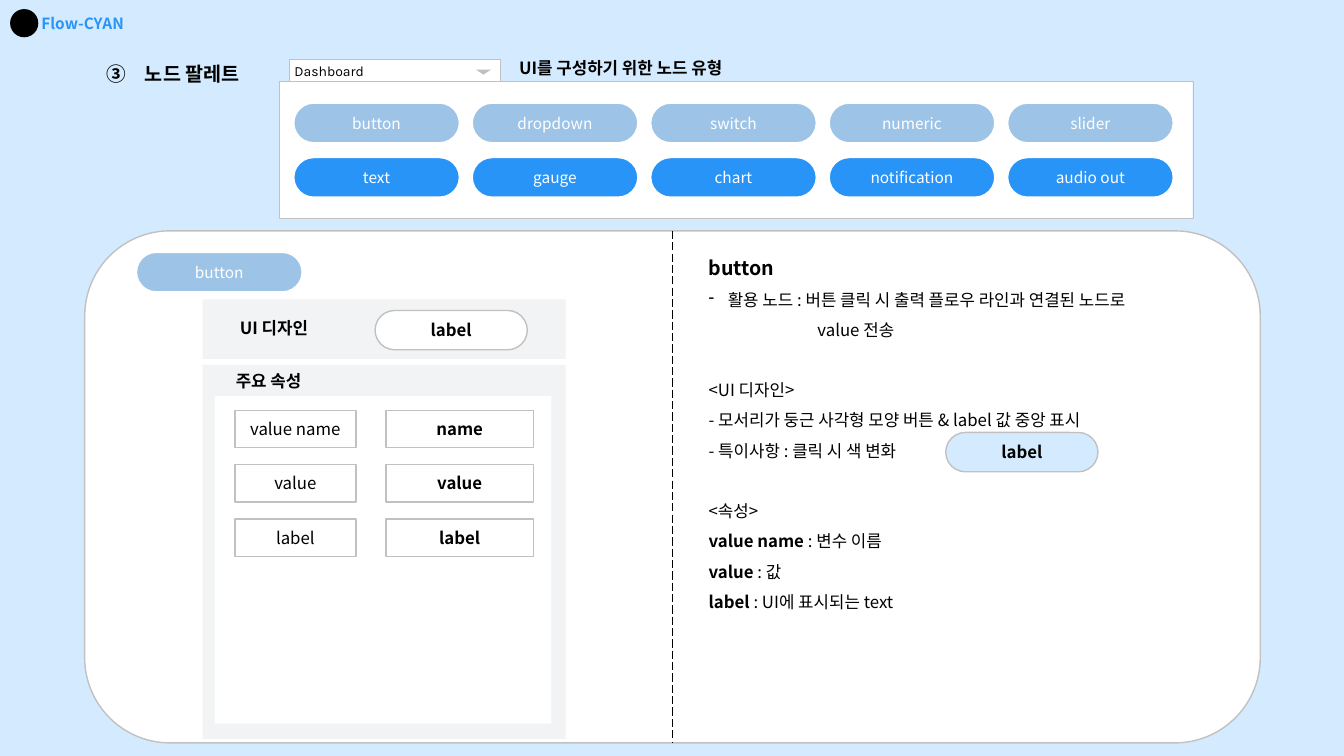
from lxml import etree
from pptx import Presentation
from pptx.dml.color import RGBColor
from pptx.enum.dml import MSO_LINE
from pptx.enum.shapes import MSO_CONNECTOR, MSO_SHAPE as Kind
from pptx.enum.text import MSO_ANCHOR as Anchor, PP_ALIGN as Align
from pptx.oxml.ns import qn
from pptx.util import Inches, Pt

FONT = "Noto Sans CJK KR"
BLACK = RGBColor(0x00, 0x00, 0x00)
WHITE = RGBColor(0xFF, 0xFF, 0xFF)
BLUE = RGBColor(0x29, 0x94, 0xF8)
SOFT = RGBColor(0x9D, 0xC3, 0xE6)
PALE = RGBColor(0xD4, 0xEA, 0xFE)
GRAY = RGBColor(0xC1, 0xC1, 0xC1)
ARROW = RGBColor(0xBF, 0xBF, 0xBF)
PANEL = RGBColor(0xF1, 0xF3, 0xF4)

PALETTE = [
    (SOFT, ["button", "dropdown", "switch", "numeric", "slider"]),
    (BLUE, ["text", "gauge", "chart", "notification", "audio out"]),
]
FIELDS = [("value name", "name"), ("value", "value"), ("label", "label")]

# Each paragraph: bold part, plain part, size, layout
DETAIL = [
    ("button", "", 14, None),
    ("", "활용 노드 : 버튼 클릭 시 출력 플로우 라인과 연결된 노드로", 12, "dash"),
    ("", "value 전송", 12, "indent"),
    ("", "<UI 디자인>", 12, "gap"),
    ("", "- 모서리가 둥근 사각형 모양 버튼 & label 값 중앙 표시", 12, None),
    ("", "- 특이사항 : 클릭 시 색 변화", 12, None),
    ("", "<속성>", 12, "gap"),
    ("value name ", ": 변수 이름", 12, None),
    ("value", " : 값", 12, None),
    ("label ", ": UI에 표시되는 text", 12, None),
]

deck = Presentation()
deck.slide_width, deck.slide_height = Inches(13.33), Inches(7.5)
slide = deck.slides.add_slide(deck.slide_layouts[6])
slide.background.fill.solid()
slide.background.fill.fore_color.rgb = PALE
shapes = slide.shapes


def style(run, size, bold=False, color=BLACK, face=FONT):
    font = run.font
    font.name, font.size, font.bold = face, Pt(size), bold
    font.color.rgb = color
    east = etree.SubElement(run._r.get_or_add_rPr(), qn("a:ea"))
    east.set("typeface", face)


def draw(kind, box, fill, line=None, width=1):
    shape = shapes.add_shape(kind, *map(Inches, box))
    shape.shadow.inherit = False
    shape.fill.solid()
    shape.fill.fore_color.rgb = fill
    if line is None:
        shape.line.fill.background()
    else:
        shape.line.color.rgb = line
        shape.line.width = Pt(width)
    return shape


def label(shape, text, size=12, bold=False, color=BLACK, face=FONT, align=Align.CENTER):
    frame = shape.text_frame
    frame.vertical_anchor = Anchor.MIDDLE
    para = frame.paragraphs[0]
    para.text, para.alignment = text, align
    style(para.runs[0], size, bold, color, face)


def pill(box, text, fill, line, width, size, bold, color):
    shape = draw(Kind.ROUNDED_RECTANGLE, box, fill, line, width)
    shape.adjustments[0] = 0.5
    label(shape, text, size, bold, color)


def node(left, top, text, fill):
    pill((left, top, 1.65, 0.4), text, fill, WHITE, 1.5, 11, False, WHITE)


def sample(left, top, fill):
    pill((left, top, 1.51, 0.39), "label", fill, GRAY, 1, 12, True, BLACK)


def note(box, text, size=12, color=BLACK, wrap=False, align=Align.LEFT):
    frame = shapes.add_textbox(*map(Inches, box)).text_frame
    frame.word_wrap = wrap
    para = frame.paragraphs[0]
    para.text, para.alignment = text, align
    style(para.runs[0], size, True, color)
    return para


def bullet(para, left, hang, tag, **attrs):
    """Hang the paragraph and add the given bullet element."""
    props = para._p.get_or_add_pPr()
    props.set("marL", str(Inches(left)))
    props.set("indent", str(-Inches(hang)))
    mark = etree.SubElement(props, qn(tag))
    for key, value in attrs.items():
        mark.set(key, value)


# Header
note((0.05, 0.09, 1.54, 0.29), "Flow-CYAN", 11, BLUE, True, Align.CENTER)
draw(Kind.OVAL, (0.1, 0.09, 0.28, 0.28), BLACK)
title = note((0.96, 0.57, 1.7, 0.34), "노드 팔레트", 14, wrap=True)
bullet(title, 0.38, 0.38, "a:buAutoNum", type="circleNumDbPlain", startAt="3")
note((5.05, 0.52, 2.47, 0.3), "UI를 구성하기 위한 노드 유형")

# Node palette
draw(Kind.RECTANGLE, (2.77, 0.81, 9.06, 1.36), WHITE, GRAY, 0.25)
for row, (fill, names) in enumerate(PALETTE):
    for col, name in enumerate(names):
        node(2.91 + 1.77 * col, 1.02 + 0.54 * row, name, fill)
menu = draw(Kind.RECTANGLE, (2.87, 0.59, 2.09, 0.22), WHITE, GRAY, 0.25)
frame = menu.text_frame
frame.margin_left = frame.margin_right = Inches(0.05)
label(menu, "Dashboard", 10, face="Karla", align=Align.LEFT)
draw(Kind.ISOSCELES_TRIANGLE, (4.72, 0.69, 0.15, 0.05), ARROW).rotation = 180

# Card with its divider
draw(Kind.ROUNDED_RECTANGLE, (0.84, 2.29, 11.66, 5.08), WHITE, GRAY)
split = shapes.add_connector(
    MSO_CONNECTOR.STRAIGHT, Inches(6.67), Inches(2.29), Inches(6.67), Inches(7.37))
split.line.color.rgb = BLACK
split.line.width = Pt(0.75)
split.line.dash_style = MSO_LINE.LONG_DASH
etree.SubElement(split._element.spPr, qn("a:effectLst"))

# Node settings
for box, fill in [((2.01, 2.97, 3.6, 0.59), PANEL),
                  ((2.01, 3.62, 3.6, 3.71), PANEL),
                  ((2.13, 3.93, 3.34, 3.25), WHITE)]:
    draw(Kind.RECTANGLE, box, fill)
note((2.28, 3.1, 0.94, 0.33), "UI 디자인")
note((2.24, 3.63, 0.93, 0.33), "주요 속성")
sample(3.72, 3.08, WHITE)
node(1.35, 2.5, "button", SOFT)
for row, pair in enumerate(FIELDS):
    for text, left, width, bold in zip(pair, (2.33, 3.83), (1.2, 1.46), (False, True)):
        box = (left, 4.07 + 0.54 * row, width, 0.37)
        label(draw(Kind.RECTANGLE, box, WHITE, GRAY), text, bold=bold)

# Node description
frame = shapes.add_textbox(*map(Inches, (6.93, 2.37, 6.03, 4.35))).text_frame
frame.word_wrap = True
for i, (strong, plain, size, layout) in enumerate(DETAIL):
    para = frame.add_paragraph() if i else frame.paragraphs[0]
    para.line_spacing = 1.5
    if layout == "gap":
        para.space_before = Pt(21.6)
    elif layout == "dash":
        bullet(para, 0.19, 0.19, "a:buChar", char="-")
    elif layout == "indent":
        bullet(para, 1.08, 0, "a:buNone")
    for text, bold in ((strong, True), (plain, False)):
        if text:
            run = para.add_run()
            run.text = text
            style(run, size, bold)
sample(9.38, 4.29, PALE)

deck.save("out.pptx")
